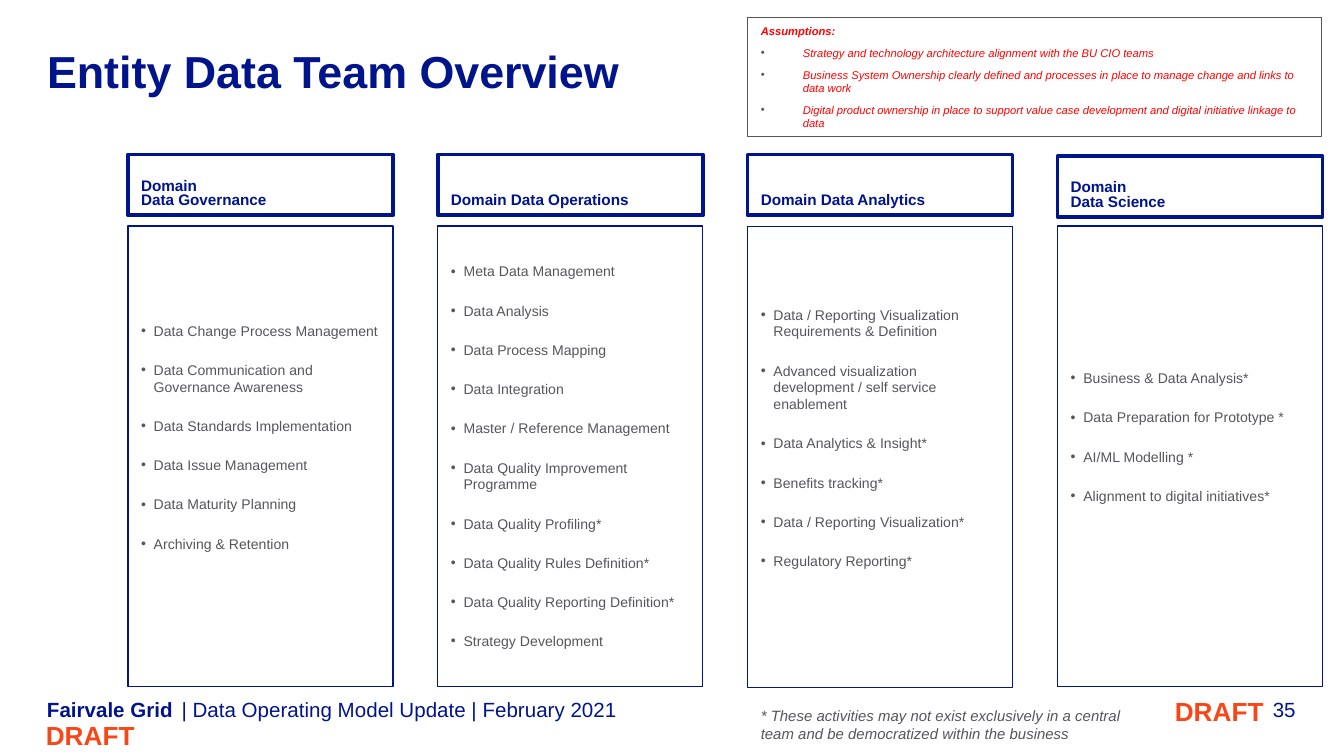
from lxml import etree
from pptx import Presentation
from pptx.dml.color import RGBColor
from pptx.enum.shapes import MSO_SHAPE
from pptx.enum.text import MSO_ANCHOR, PP_ALIGN
from pptx.oxml.ns import qn
from pptx.util import Pt

RECT = MSO_SHAPE.RECTANGLE
TOP, MID, LOW = MSO_ANCHOR.TOP, MSO_ANCHOR.MIDDLE, MSO_ANCHOR.BOTTOM
LEFT, RIGHT = PP_ALIGN.LEFT, PP_ALIGN.RIGHT
NAVY = RGBColor(0x00, 0x14, 0x8C)
GREY = RGBColor(0x55, 0x55, 0x5A)
RED = RGBColor(0xFF, 0x00, 0x00)
ORANGE = RGBColor(0xFA, 0x46, 0x16)
WHITE = RGBColor(0xFF, 0xFF, 0xFF)

deck = Presentation()
deck.slide_width, deck.slide_height = Pt(720), Pt(405)
slide = deck.slides.add_slide(deck.slide_layouts[6])


def add_box(x, y, w, h, anchor, line=None, weight=0.75, fill=None, pad=True):
    """Add a text box, or an outlined rectangle when a line colour is given."""
    place = Pt(x), Pt(y), Pt(w), Pt(h)
    if line is None:
        box = slide.shapes.add_textbox(*place)
    else:
        box = slide.shapes.add_shape(RECT, *place)
        box.shadow.inherit = False
        box.line.color.rgb = line
        box.line.width = Pt(weight)
        if fill is None:
            box.fill.background()
        else:
            box.fill.solid()
            box.fill.fore_color.rgb = fill
    frame = box.text_frame
    frame.word_wrap = True
    frame.vertical_anchor = anchor
    frame.margin_left = frame.margin_right = Pt(7.2 if pad else 0)
    frame.margin_top = frame.margin_bottom = Pt(3.6 if pad else 0)
    return frame


def add_text(frame, text, size, color, bold=False, italic=False,
             align=LEFT, after=0, indent=0):
    """Fill the next paragraph; an indent makes it a bullet."""
    para = frame.paragraphs[0]
    if para.runs:
        para = frame.add_paragraph()
    para.alignment = align
    para.space_after = Pt(after)
    if indent:
        props = para._p.get_or_add_pPr()
        props.set("marL", str(Pt(indent)))
        props.set("indent", str(-Pt(indent)))
        tint = etree.SubElement(props, qn("a:buClr"))
        etree.SubElement(tint, qn("a:srgbClr"), val=str(GREY))
        etree.SubElement(props, qn("a:buFont"), typeface="Arial")
        etree.SubElement(props, qn("a:buChar"), char="•")
    for i, part in enumerate(text.split("\n")):
        if i:
            para.add_line_break()
        run = para.add_run()
        run.text = part
        font = run.font
        font.name, font.size = "Arial", Pt(size)
        font.bold, font.italic = bold, italic
        font.color.rgb = color
    return para


# Title
title = add_box(25.2, 20.9, 668.9, 33.8, MID, pad=False)
add_text(title, "Entity Data Team Overview", 24, NAVY, bold=True)

# Team columns: heading, heading top, body top, space kept below, tasks
teams = [
    ("Domain\nData Governance", 82.8, 121, 20.6, [
        "Data Change Process Management",
        "Data Communication and Governance Awareness",
        "Data Standards Implementation",
        "Data Issue Management",
        "Data Maturity Planning",
        "Archiving & Retention"]),
    ("Domain Data Operations", 82.8, 121, 0, [
        "Meta Data Management",
        "Data Analysis",
        "Data Process Mapping",
        "Data Integration",
        "Master / Reference Management",
        "Data Quality Improvement Programme",
        "Data Quality Profiling*",
        "Data Quality Rules Definition*",
        "Data Quality Reporting Definition*",
        "Strategy Development"]),
    ("Domain Data Analytics", 82.8, 121.4, 20.6, [
        "Data / Reporting Visualization Requirements & Definition",
        "Advanced visualization development / self service enablement",
        "Data Analytics & Insight*",
        "Benefits tracking*",
        "Data / Reporting Visualization*",
        "Regulatory Reporting*"]),
    ("Domain\nData Science", 83.6, 121, 20.6, [
        "Business & Data Analysis*",
        "Data Preparation for Prototype *",
        "AI/ML Modelling *",
        "Alignment to digital initiatives*"]),
]
for i, (name, head_y, body_y, below, tasks) in enumerate(teams):
    x = 68.5 + 166 * i
    head = add_box(x, head_y, 142, 32.6, LOW, NAVY, 2, WHITE)
    para = add_text(head, name, 8.2, NAVY, bold=True, after=6)
    para.line_spacing = 0.8
    body = add_box(x, body_y, 142, 246.8, MID, NAVY)
    body.margin_bottom = Pt(3.6 + below)
    for task in tasks:
        add_text(body, task, 7.5, GREY, after=12, indent=6.75)

# Assumptions
notes = add_box(400.5, 9.5, 307.5, 63.7, TOP, GREY, fill=WHITE)
add_text(notes, "Assumptions:", 6, RED, bold=True, italic=True, after=4.5)
for point in [
    "Strategy and technology architecture alignment with the BU CIO teams",
    "Business System Ownership clearly defined and processes in place "
    "to manage change and links to data work",
    "Digital product ownership in place to support value case development "
    "and digital initiative linkage to data",
]:
    add_text(notes, point, 6, RED, italic=True, after=4.5, indent=22.5)

# Footnote
foot = add_box(400.5, 375.1, 218.9, 26.6, TOP)
add_text(foot, "* These activities may not exist exclusively in a central team "
         "and be democratized within the business", 8, GREY, italic=True)

# Footer
owner = add_box(25.2, 373, 72, 13.7, LOW, pad=False)
owner.word_wrap = False
add_text(owner, "Fairvale Grid", 11, NAVY, bold=True)
label = add_box(97.3, 373, 566.6, 13.7, LOW, pad=False)
add_text(label, "| Data Operating Model Update | February 2021", 11, NAVY)
page = add_box(652.3, 373, 41.8, 13.7, LOW, pad=False)
add_text(page, "35", 11, NAVY, align=RIGHT)

# Draft marks
for x, y in [(606.2, 368.8), (1.4, 381.8)]:
    mark = add_box(x, y, 77.8, 23.8, MID)
    add_text(mark, "DRAFT", 14, ORANGE, bold=True, align=RIGHT)

deck.save("out.pptx")
